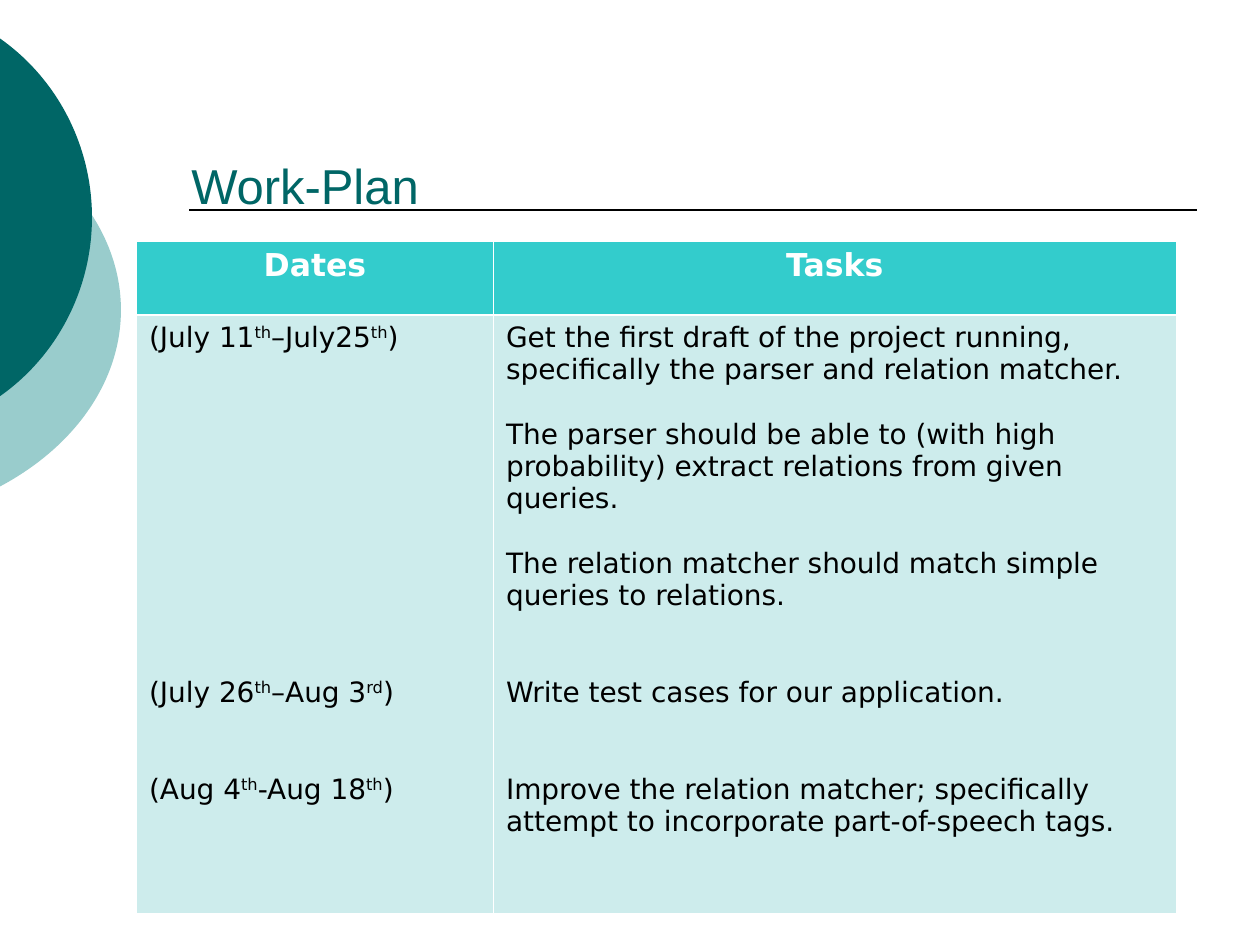
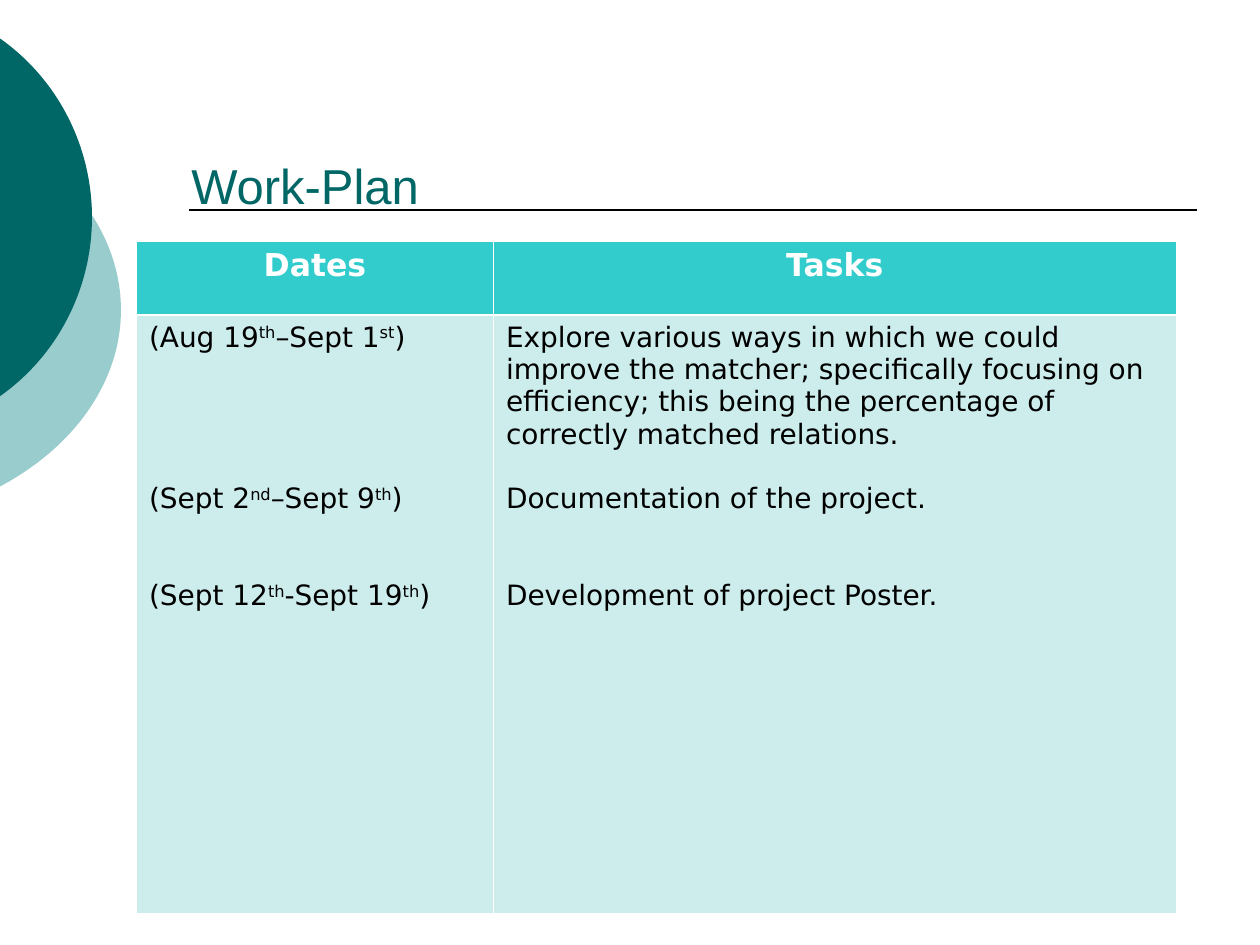
import math

from lxml import etree
from pptx import Presentation
from pptx import util as u
from pptx.dml import color
from pptx.enum import shapes, text
from pptx.oxml import ns

TEAL, PALE_TEAL = "006666", "99CCCC"
HEADER_FILL, BODY_FILL = "33CCCC", "CDECEC"
WHITE, BLACK = "FFFFFF", "000000"
TITLE_FONT, TABLE_FONT = "Arial", "DejaVu Sans"
LINE_HEIGHT = 18.45  # points, one line of 16 point table text
THIN, THICK = 0.45, 1.47  # cell border widths in points

PALE_DISC = (-3.54, 0.75, 4.5, 3.42)
DARK_DISC = (-2.65, 0, 3.38, 3.45)
RULE_TOP = 5 / 3
TABLE_BOX = (13 / 12, 23 / 12, 8.25, 16 / 3)
DATES_WIDTH, HEADER_HEIGHT = 17 / 6, 7 / 12

# Each entry is (empty lines above, text); ^ encloses a superscript.
WORK_PLANS = [
    {
        "title_box": (1.42, 0.42, 7.66, 1.33),
        "dates": [
            (0, "(July 11^th^–July25^th^)"),
            (10, "(July 26^th^–Aug 3^rd^)"),
            (2, "(Aug 4^th^-Aug 18^th^)"),
        ],
        "tasks": [
            (0, "Get the first draft of the project running, "
                "specifically the parser and relation matcher."),
            (1, "The parser should be able to (with high probability) "
                "extract relations from given queries."),
            (1, "The relation matcher should match simple queries to relations."),
            (2, "Write test cases for our application."),
            (2, "Improve the relation matcher; specifically attempt to "
                "incorporate part-of-speech tags."),
        ],
    },
    {
        "title_box": (1.42, 0.33, 8.08, 1.42),
        "dates": [
            (0, "(Aug 19^th^–Sept 1^st^)"),
            (4, "(Sept 2^nd^–Sept 9^th^)"),
            (2, "(Sept 12^th^-Sept 19^th^)"),
        ],
        "tasks": [
            (0, "Explore various ways in which we could improve the matcher; "
                "specifically focusing on efficiency; this being the percentage "
                "of correctly matched relations."),
            (1, "Documentation of the project."),
            (2, "Development of project Poster."),
        ],
    },
]


def rgb(value):
    return color.RGBColor.from_string(value)


def inches(box):
    return [u.Inches(length) for length in box]


def style_font(font, name, size, fill, bold=False):
    font.name, font.size, font.bold = name, u.Pt(size), bold
    font.color.rgb = rgb(fill)


def add_path_step(outline, tag, points=()):
    step = etree.SubElement(outline, ns.qn(f"a:{tag}"))
    for x, y in points:
        etree.SubElement(step, ns.qn("a:pt"), x=str(round(x)), y=str(round(y)))


def add_disc(slide, box, fill):
    """Draw the part of an ellipse that lies right of the slide's left edge."""
    left, top, width, height = inches(box)
    builder = slide.shapes.build_freeform(left, top)
    builder.add_line_segments([(left + width, top), (left + width, top + height),
                               (left, top + height)])
    shape = builder.convert_to_shape()
    shape.shadow.inherit = False
    shape.fill.solid()
    shape.fill.fore_color.rgb = rgb(fill)
    shape.line.fill.background()

    radius_x, radius_y = width / 2, height / 2
    limit = math.acos(-(left + radius_x) / radius_x)
    handle = 4 / 3 * math.tan(limit / 4)

    def place(angle, reach=0):
        """Find a point on the ellipse, moved along its tangent by reach."""
        cosine, sine = math.cos(angle), math.sin(angle)
        return (radius_x * (1 + cosine - reach * sine),
                radius_y * (1 + sine + reach * cosine))

    outline = next(shape._element.iter(ns.qn("a:path")))
    for step in list(outline):
        outline.remove(step)
    add_path_step(outline, "moveTo", [place(-limit)])
    for start, end in ((-limit, 0), (0, limit)):
        add_path_step(outline, "cubicBezTo",
                      [place(start, handle), place(end, -handle), place(end)])
    add_path_step(outline, "close")


def add_backdrop(slide):
    add_disc(slide, PALE_DISC, PALE_TEAL)
    add_disc(slide, DARK_DISC, TEAL)
    rule = slide.shapes.add_connector(
        shapes.MSO_CONNECTOR.STRAIGHT, *inches((1.5, RULE_TOP, 9.5, RULE_TOP)))
    rule.line.color.rgb = rgb(BLACK)
    rule.line.width = u.Pt(1)
    etree.SubElement(rule._element.spPr, ns.qn("a:effectLst"))


def add_title(slide, box, title):
    frame = slide.shapes.add_textbox(*inches(box)).text_frame
    frame.word_wrap = True
    frame.vertical_anchor = text.MSO_ANCHOR.BOTTOM
    paragraph = frame.paragraphs[0]
    paragraph.text = title
    style_font(paragraph.font, TITLE_FONT, 28, TEAL)


def format_cell(cell, fill, top, bottom):
    """Give a cell its fill and white borders."""
    properties = cell._tc.get_or_add_tcPr()
    for side, width in zip("LRTB", (THIN, THIN, top, bottom)):
        border = etree.SubElement(properties, ns.qn(f"a:ln{side}"), w=str(u.Pt(width)))
        solid = etree.SubElement(border, ns.qn("a:solidFill"))
        etree.SubElement(solid, ns.qn("a:srgbClr"), val=WHITE)
    cell.fill.solid()
    cell.fill.fore_color.rgb = rgb(fill)


def write_entries(frame, entries):
    for index, (empty_lines, entry) in enumerate(entries):
        paragraph = frame.add_paragraph() if index else frame.paragraphs[0]
        paragraph.space_before = u.Pt(empty_lines * LINE_HEIGHT)
        style_font(paragraph.font, TABLE_FONT, 16, BLACK)
        for position, part in enumerate(entry.split("^")):
            run = paragraph.add_run()
            run.text = part
            if position % 2:
                run._r.get_or_add_rPr().set("baseline", "30000")


def add_plan_table(slide, box, dates, tasks):
    width, height = box[2:]
    table = slide.shapes.add_table(2, 2, *inches(box)).table
    table.columns[0].width, table.columns[1].width = inches(
        (DATES_WIDTH, width - DATES_WIDTH))
    table.rows[0].height, table.rows[1].height = inches(
        (HEADER_HEIGHT, height - HEADER_HEIGHT))
    for column, (heading, entries) in enumerate((("Dates", dates), ("Tasks", tasks))):
        header, body = table.cell(0, column), table.cell(1, column)
        format_cell(header, HEADER_FILL, THIN, THICK)
        format_cell(body, BODY_FILL, THICK, THIN)
        paragraph = header.text_frame.paragraphs[0]
        paragraph.text = heading
        paragraph.alignment = text.PP_ALIGN.CENTER
        style_font(paragraph.font, TABLE_FONT, 18, WHITE, bold=True)
        write_entries(body.text_frame, entries)


def add_plan_slide(presentation, plan):
    slide = presentation.slides.add_slide(presentation.slide_layouts[6])
    add_backdrop(slide)
    add_title(slide, plan["title_box"], "Work-Plan")
    add_plan_table(slide, TABLE_BOX, plan["dates"], plan["tasks"])


def main():
    presentation = Presentation()
    presentation.slide_width, presentation.slide_height = inches((10, 7.5))
    for plan in WORK_PLANS:
        add_plan_slide(presentation, plan)
    presentation.save("out.pptx")


if __name__ == "__main__":
    main()
